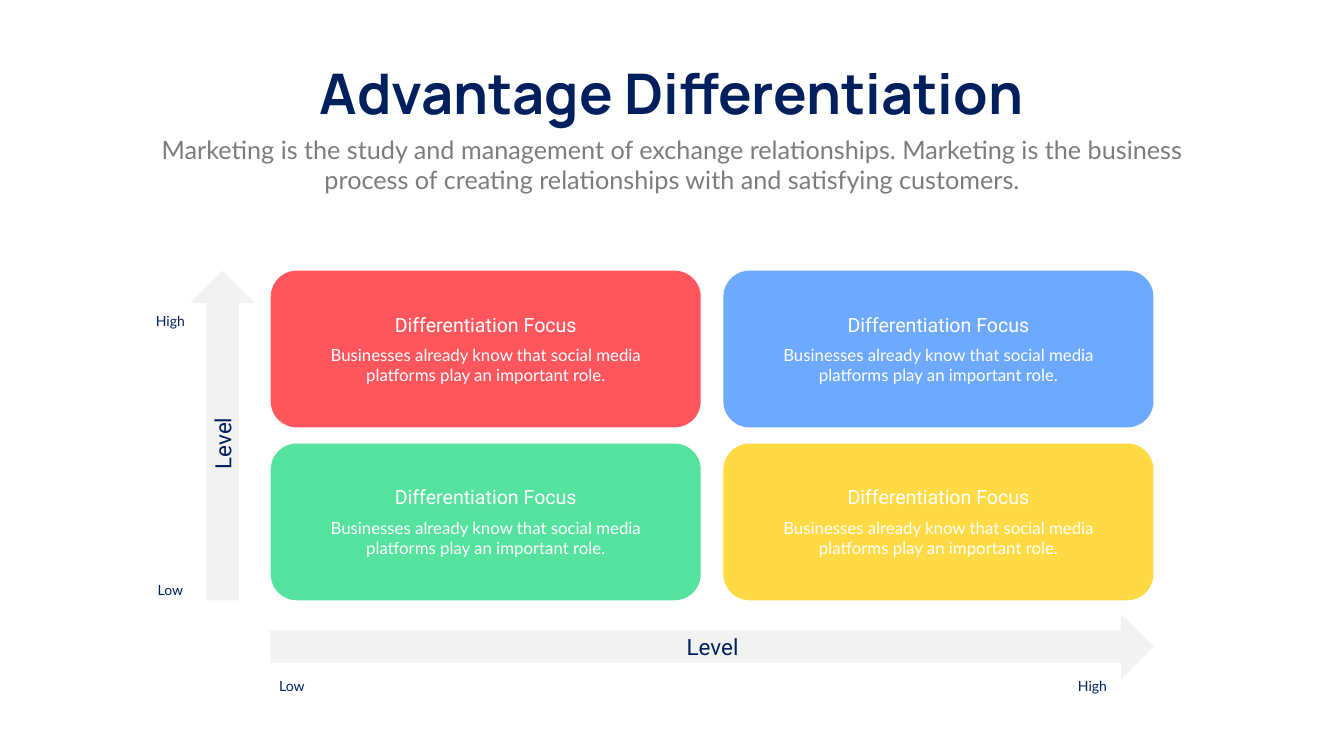
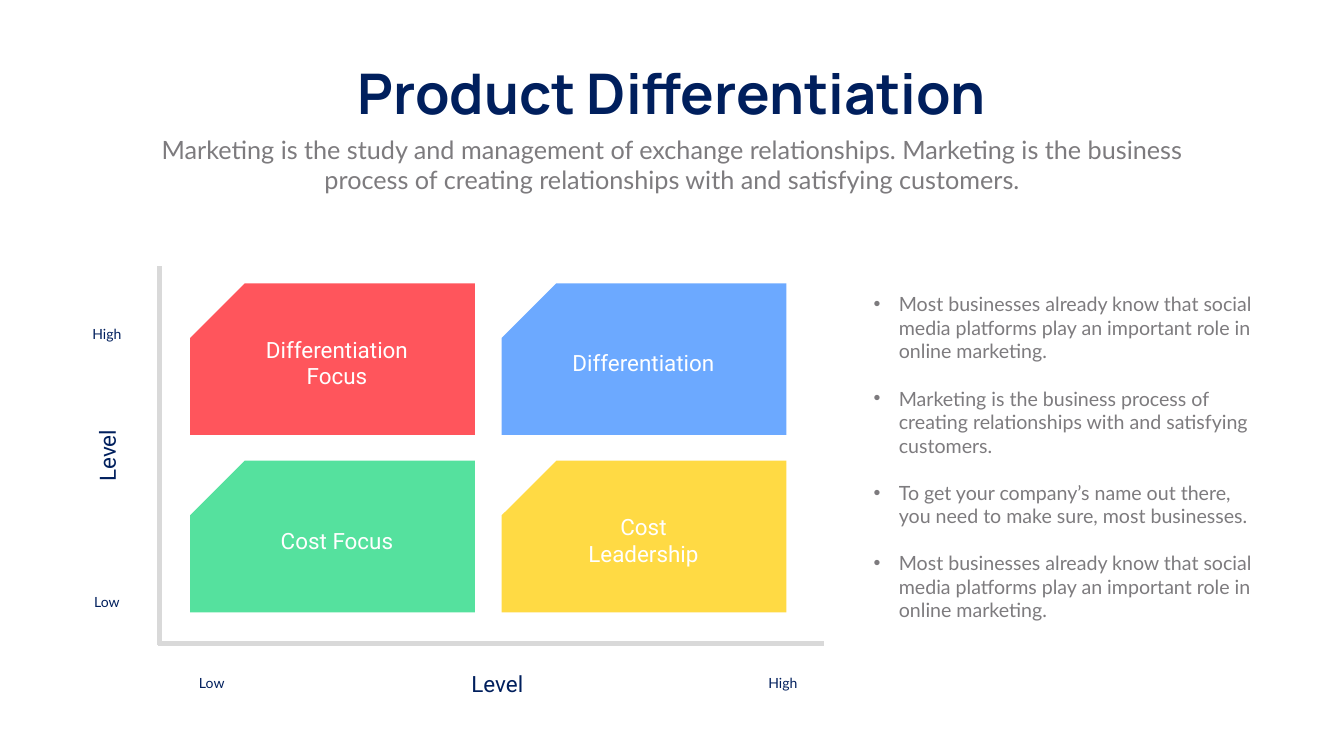
from lxml.etree import SubElement
from pptx import Presentation
from pptx.dml.color import RGBColor
from pptx.enum.shapes import MSO_CONNECTOR, MSO_SHAPE
from pptx.enum.text import MSO_ANCHOR, MSO_AUTO_SIZE, PP_ALIGN
from pptx.oxml.ns import qn
from pptx.util import Inches, Pt

COLORS = {
    "navy": "001F5D", "gray": "7D7B7E", "white": "FFFFFF",
    "red": "FF555C", "blue": "6CA9FF", "green": "55E19E", "yellow": "FFDA44",
    "arrow": "F2F2F2", "axis": "D9D9D9",
}
CARD_COLORS = ["red", "blue", "green", "yellow"]  # row by row
SUBTITLE = ("Marketing is the study and management of exchange relationships. "
            "Marketing is the business process of creating relationships with "
            "and satisfying customers.")
FOCUS = "Differentiation Focus"
FOCUS_NOTE = "Businesses already know that social media platforms play an important role."
QUADRANTS = [FOCUS, "Differentiation", "Cost Focus", "Cost Leadership"]
SOCIAL_POINT = ("Most businesses already know that social media platforms play "
                "an important role in online marketing.")
POINTS = [
    SOCIAL_POINT,
    "Marketing is the business process of creating relationships with and satisfying customers.",
    "To get your company’s name out there, you need to make sure, most businesses.",
    SOCIAL_POINT,
]


def rgb(name):
    return RGBColor.from_string(COLORS[name])


def place(sp, box):
    sp.left, sp.top, sp.width, sp.height = (Inches(v) for v in box)


def add_run(p, text, size, font, color, bold=False):
    r = p.add_run()
    r.text = text
    r.font.size, r.font.name, r.font.bold = Pt(size), font, bold
    r.font.color.rgb = rgb(color)


def set_frame(tf, wrap=True):
    tf.word_wrap = wrap
    tf.auto_size = MSO_AUTO_SIZE.SHAPE_TO_FIT_TEXT
    tf.vertical_anchor = MSO_ANCHOR.TOP


def add_text(s, box, text, size, font, color, rotation=0):
    sp = s.shapes.add_textbox(*(Inches(v) for v in box))
    sp.rotation = rotation
    set_frame(sp.text_frame)
    p = sp.text_frame.paragraphs[0]
    p.alignment = PP_ALIGN.CENTER
    add_run(p, text, size, font, color)


def add_block(s, kind, box, color):
    sp = s.shapes.add_shape(kind, *(Inches(v) for v in box))
    sp.shadow.inherit = False
    sp.fill.solid()
    sp.fill.fore_color.rgb = rgb(color)
    sp.line.fill.background()
    return sp


def add_axis_line(s, x1, y1, x2, y2):
    line = s.shapes.add_connector(MSO_CONNECTOR.STRAIGHT,
                                  *(Inches(v) for v in (x1, y1, x2, y2)))
    line.line.color.rgb = rgb("axis")
    line.line.width = Pt(7)
    SubElement(line.element.spPr, qn("a:effectLst"))


def add_header(s, title, left, width):
    """Title placeholder and the shared subtitle."""
    sp = s.shapes.title
    place(sp, (left, 1.12, width, 1.45))
    set_frame(sp.text_frame, wrap=False)
    p = sp.text_frame.paragraphs[0]
    p.alignment = PP_ALIGN.CENTER
    add_run(p, title, 80, "Manrope", "navy", bold=True)
    add_text(s, (2.92, 2.61, 20.82, 1.31), SUBTITLE, 36, "Lato", "gray")


def add_scales(s, left, top, v_title, h_title, h_ticks):
    """Axis names and Low / High ticks, measured from the upper High tick."""
    for (dx, dy), rotation in ((v_title, 270), (h_title, 0)):
        add_text(s, (left + dx, top + dy, 2.65, 0.64), "Level", 32, "Roboto", "navy", rotation)
    low_dx, high_dx, ticks_dy = h_ticks
    for text, dx, dy in (("High", 0, 0), ("Low", 0, 5.33),
                         ("Low", low_dx, ticks_dy), ("High", high_dx, ticks_dy)):
        add_text(s, (left + dx, top + dy, 0.92, 0.44), text, 20, "Lato", "navy")


def add_focus_card(s, left, top, color):
    """Rounded card with a heading and a note."""
    add_block(s, MSO_SHAPE.ROUNDED_RECTANGLE, (left, top, 8.53, 3.11), color)
    add_text(s, (left + 1.68, top + 0.78, 5.17, 0.57), FOCUS, 28, "Roboto", "white")
    add_text(s, (left + 0.59, top + 1.42, 7.35, 0.91), FOCUS_NOTE, 24, "Lato", "white")


def add_snipped_card(s, left, top, color):
    sp = add_block(s, MSO_SHAPE.SNIP_1_RECTANGLE, (left, top, 5.65, 3.01), color)
    sp.adjustments[0] = 0.361
    sp.element.spPr.get_or_add_xfrm().set("flipH", "1")


def add_points(sp, box):
    """Bulleted list in the body placeholder."""
    place(sp, box)
    tf = sp.text_frame
    set_frame(tf)
    for i, text in enumerate(POINTS):
        p = tf.paragraphs[0] if i == 0 else tf.add_paragraph()
        pPr = p._p.get_or_add_pPr()
        pPr.set("marL", str(Inches(0.5)))
        pPr.set("indent", str(-Inches(0.5)))
        SubElement(pPr, qn("a:buChar")).set("char", "•")
        p.space_before = Pt(33.6 if i else 0)
        add_run(p, text, 28, "Lato", "gray")


def build_advantage(prs):
    s = prs.slides.add_slide(prs.slide_layouts[5])
    add_header(s, "Advantage Differentiation", 5.66, 15.33)

    # Two by two cards
    left, top = 5.37, 5.37
    for i, color in enumerate(CARD_COLORS):
        row, col = divmod(i, 2)
        add_focus_card(s, left + col * 8.98, top + row * 3.43, color)

    # Arrows along both axes
    add_block(s, MSO_SHAPE.UP_ARROW, (left - 1.6, top, 1.29, 6.54), "arrow")
    across = add_block(s, MSO_SHAPE.UP_ARROW, (left + 8.11, top - 1.3, 1.29, 17.52), "arrow")
    across.rotation = 90
    add_scales(s, 2.92, 6.15, (0.17, 2.33), (9.89, 6.36), (2.41, 18.29, 7.25))


def build_product(prs):
    s = prs.slides.add_slide(prs.slide_layouts[1])
    add_header(s, "Product Differentiation", 6.56, 13.54)
    add_scales(s, 1.66, 6.4, (-0.86, 2.32), (6.88, 6.84), (2.08, 13.41, 6.94))

    # Two by two snipped cards with labels
    left, top = 3.77, 5.62
    for i, (label, color) in enumerate(zip(QUADRANTS, CARD_COLORS)):
        row, col = divmod(i, 2)
        y = top + row * 3.52
        add_snipped_card(s, left + col * 6.18, y, color)
        height = 1.18 if label in (FOCUS, "Cost Leadership") else 0.64
        add_text(s, (left + 1.3 + col * 6.08, y + 1.58 - height / 2, 3.23, height),
                 label, 32, "Roboto", "white")

    # Axis lines
    add_axis_line(s, 3.14, 12.77, 16.34, 12.77)
    add_axis_line(s, 3.17, 12.8, 3.17, 5.27)

    add_points(s.placeholders[1], (17.23, 5.75, 7.77, 6.7))


def main():
    prs = Presentation()
    prs.slide_width, prs.slide_height = Inches(26.66), Inches(15)
    build_advantage(prs)
    build_product(prs)
    prs.save("out.pptx")


if __name__ == "__main__":
    main()
